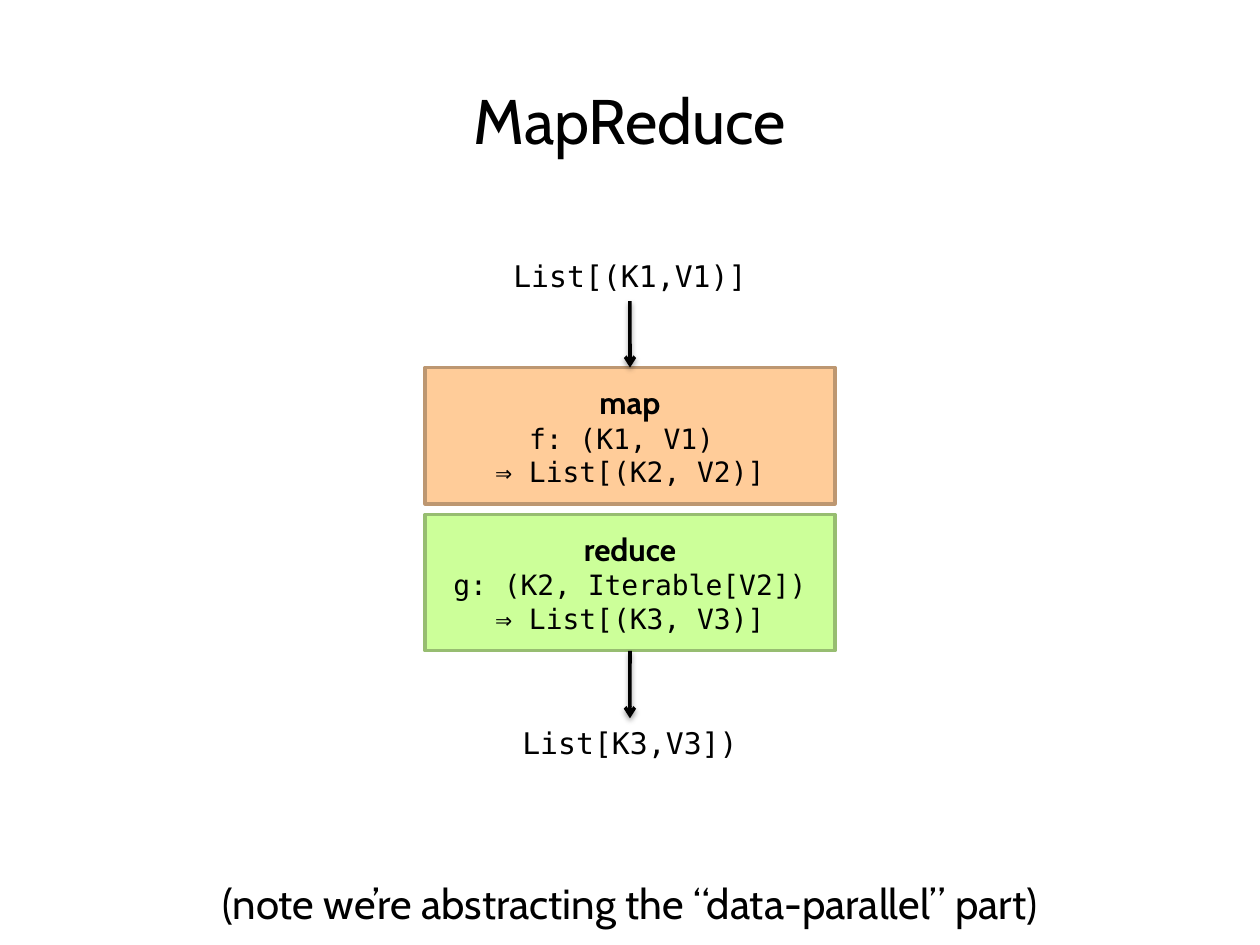
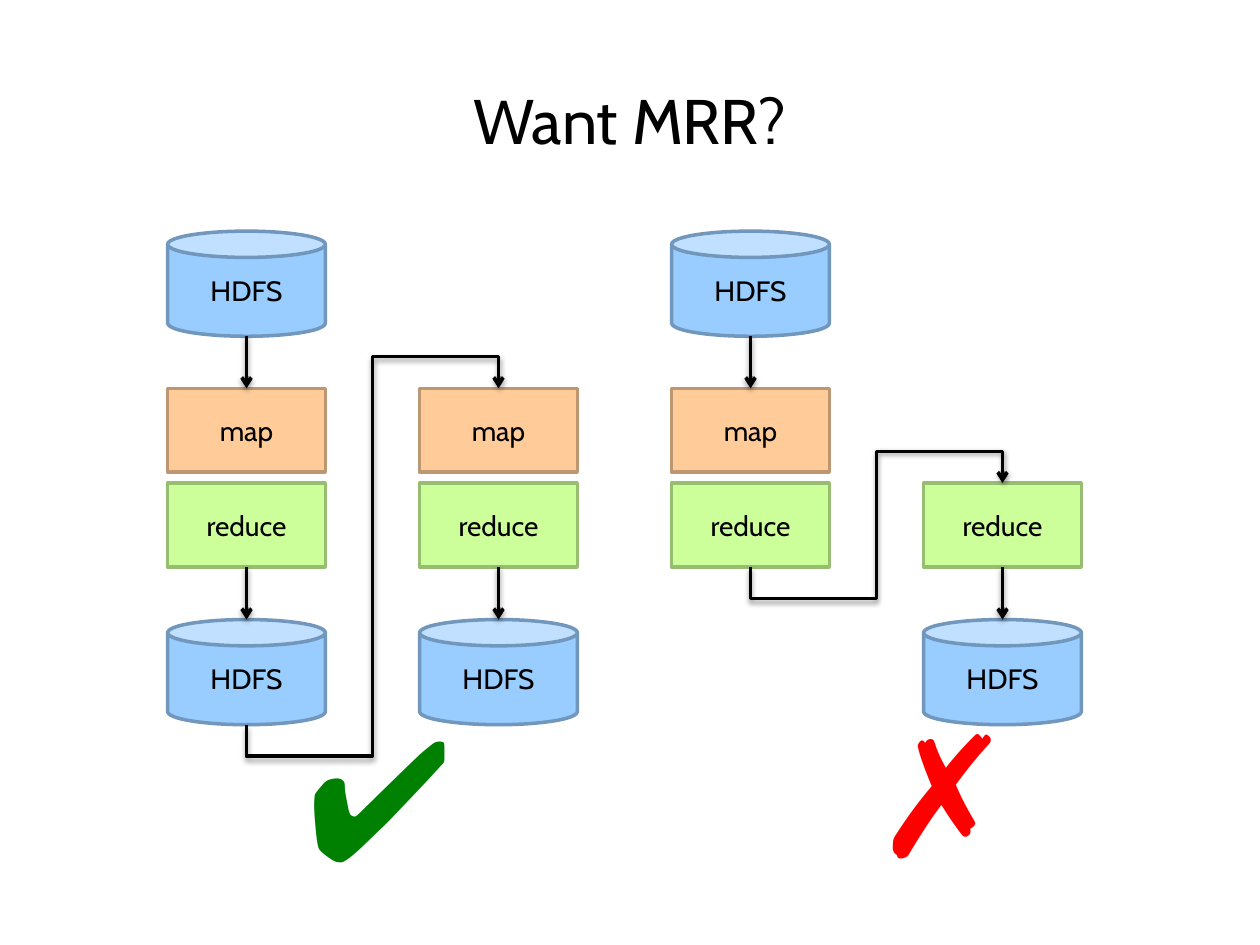
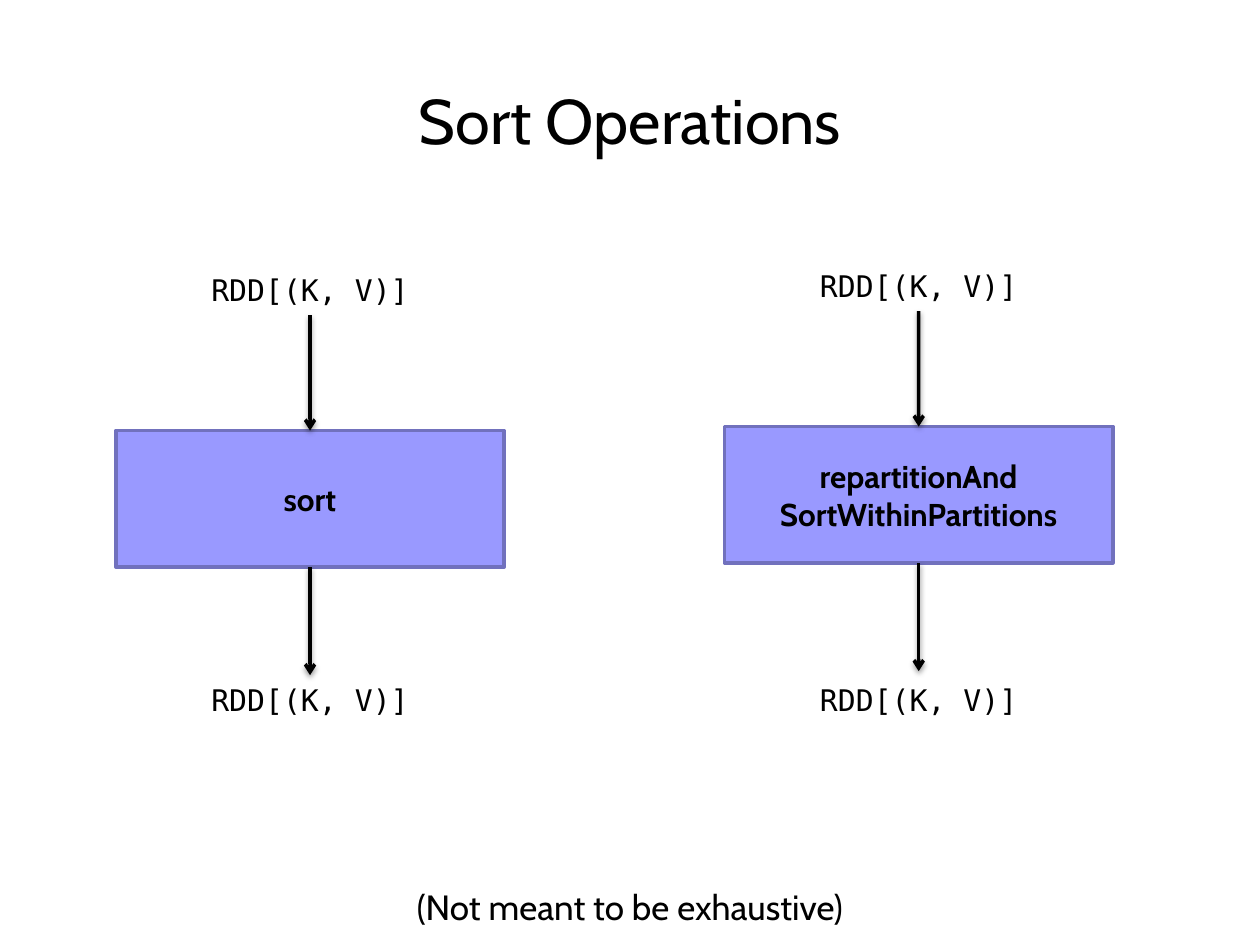
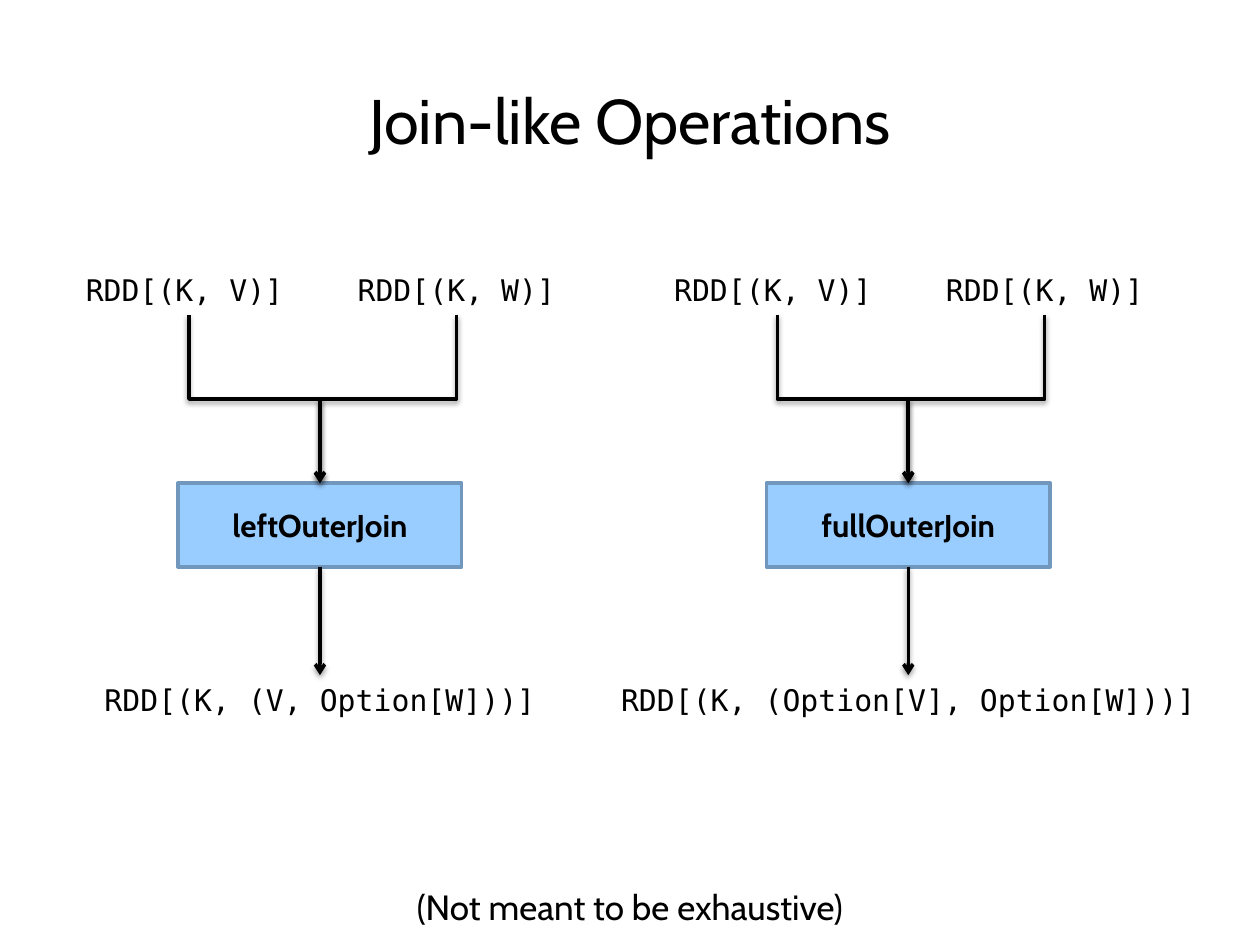
from copy import deepcopy
from dataclasses import dataclass

from lxml.etree import SubElement
from pptx import Presentation
from pptx.dml.color import RGBColor
from pptx.enum.shapes import MSO_CONNECTOR as Connector, MSO_SHAPE as Preset
from pptx.enum.text import MSO_ANCHOR as Anchor, MSO_AUTO_SIZE as AutoSize, PP_ALIGN as Align
from pptx.oxml.ns import qn
from pptx.util import Cm, Pt


@dataclass(frozen=True)
class Theme:
    text_font: str = "Cabin"
    code_font: str = "DejaVu Sans Mono"
    mark_font: str = "Arial"
    ink: str = "000000"
    yes: str = "008000"
    no: str = "FF0000"
    orange: tuple = ("FFCC99", "BD9771")
    green: tuple = ("CCFF99", "97BD71")
    blue: tuple = ("99CCFF", "7197BD")
    violet: tuple = ("9999FF", "7171BD")
    title_size: int = 36
    note_size: int = 24
    small_note_size: int = 20
    operation_size: int = 18
    label_size: int = 17
    step_size: int = 16
    mark_size: int = 96
    line_width: int = 2


THEME = Theme()
SLIDE_WIDTH, SLIDE_HEIGHT = 25.4, 19.05
CENTRE = SLIDE_WIDTH / 2
LABEL_HEIGHT = 0.99
NOTE_BOTTOM = 18.85

MAP_REDUCE = {
    "title": "MapReduce",
    "input": "List[(K1,V1)]",
    "map": ("map", "f: (K1, V1) \v⇒ List[(K2, V2)]"),
    "reduce": ("reduce", "g: (K2, Iterable[V2]) ⇒ List[(K3, V3)]"),
    "output": "List[K3,V3])",
    "note": "(note we’re abstracting the “data-parallel” part)",
}

STEPS = {
    "source": ("HDFS", Preset.CAN, THEME.blue, 4.66, 2.12),
    "map": ("map", Preset.RECTANGLE, THEME.orange, 7.83, 1.69),
    "reduce": ("reduce", Preset.RECTANGLE, THEME.green, 9.74, 1.69),
    "sink": ("HDFS", Preset.CAN, THEME.blue, 12.49, 2.12),
}
PIPELINES = [
    {
        "columns": [("source", "map", "reduce", "sink"), ("map", "reduce", "sink")],
        "bridge": ("sink", "map"),
        "mark": ("✔", THEME.yes, 5.92, 13.84, 3.4),
    },
    {
        "columns": [("source", "map", "reduce"), ("reduce", "sink")],
        "bridge": ("reduce", "reduce"),
        "mark": ("✗", THEME.no, 17.35, 13.77, 2.51),
    },
]
STEP_ARROWS = [("source", "map"), ("reduce", "sink")]
FIRST_COLUMN, COLUMN_STEP, STEP_WIDTH = 4.97, 5.08, 3.18
BRIDGE_LEAD = Cm(0.64)

EXHAUSTIVE_NOTE = "(Not meant to be exhaustive)"
SORTS = [
    {"name": "sort", "centre": 6.25, "rise": 0, "output_width": 10.36},
    {"name": "repartitionAnd\vSortWithinPartitions", "centre": 18.52, "rise": 0.08, "output_width": 12.9},
]
JOINS = [
    {"name": "leftOuterJoin", "centre": 6.45,
     "output": "RDD[(K, (V, Option[W]))]", "output_width": 10.36},
    {"name": "fullOuterJoin", "centre": 18.31,
     "output": "RDD[(K, (Option[V], Option[W]))]", "output_width": 12.9},
]
PAIR = "RDD[(K, V)]"
JOIN_INPUTS = [
    (PAIR, -2.64, 4.66, Align.LEFT),
    ("RDD[(K, W)]", 2.75, 5.72, Align.CENTER),
]
INPUT_TOP, INPUT_WIDTH, OUTPUT_TOP = 5.36, 4.66, 13.61


def style_run(run, font, size, color=THEME.ink, bold=False):
    run.font.name = font
    run.font.size = Pt(size)
    run.font.bold = bold
    run.font.color.rgb = RGBColor.from_string(color)


def write(shape, text, font, size, color=THEME.ink, bold=False, align=Align.CENTER):
    frame = shape.text_frame
    frame.text = text
    paragraph = frame.paragraphs[0]
    paragraph.alignment = align
    for run in paragraph.runs:
        style_run(run, font, size, color, bold)
    match_breaks(paragraph)


def match_breaks(paragraph):
    for line_break in paragraph._p.findall(qn("a:br")):
        line_break.insert(0, deepcopy(line_break.getprevious().find(qn("a:rPr"))))


def add_text(shapes, text, centre, top, width, height, font, size, grow=True,
             wrap=True, **style):
    box = shapes.add_textbox(Cm(centre - width / 2), Cm(top), Cm(width), Cm(height))
    write(box, text, font, size, **style)
    box.text_frame.word_wrap = wrap
    box.text_frame.auto_size = AutoSize.SHAPE_TO_FIT_TEXT if grow else AutoSize.NONE
    return box


def add_label(shapes, text, centre, top, width, align=Align.CENTER):
    return add_text(shapes, text, centre, top, width, LABEL_HEIGHT,
                    THEME.code_font, THEME.label_size, align=align)


def add_note(slide, text, size, height):
    add_text(slide.shapes, text, CENTRE, NOTE_BOTTOM - height, SLIDE_WIDTH, height,
             THEME.text_font, size)


def add_block(shapes, preset, colors, text, centre, top, width, height, size, bold=False):
    block = shapes.add_shape(preset, Cm(centre - width / 2), Cm(top), Cm(width), Cm(height))
    fill, line = colors
    block.shadow.inherit = False
    block.fill.solid()
    block.fill.fore_color.rgb = RGBColor.from_string(fill)
    block.line.color.rgb = RGBColor.from_string(line)
    block.line.width = Pt(THEME.line_width)
    block.text_frame.vertical_anchor = Anchor.MIDDLE
    block.text_frame.word_wrap = True
    write(block, text, THEME.text_font, size, bold=bold)
    return block


def add_operation(shapes, colors, name, centre, top, width, height):
    return add_block(shapes, Preset.RECTANGLE, colors, name, centre, top, width, height,
                     THEME.operation_size, bold=True)


def add_signature(block, signature):
    paragraph = block.text_frame.paragraphs[0]
    name = paragraph.text
    paragraph.text = f"{name}\v{signature}"
    title_run, *code_runs = paragraph.runs
    style_run(title_run, THEME.text_font, THEME.operation_size, bold=True)
    for run in code_runs:
        style_run(run, THEME.code_font, THEME.step_size)
    match_breaks(paragraph)


def style_arrow(connector):
    connector.line.color.rgb = RGBColor.from_string(THEME.ink)
    connector.line.width = Pt(THEME.line_width)
    properties = connector._element.spPr
    SubElement(properties.find(qn("a:ln")), qn("a:tailEnd"), type="arrow")
    effects = SubElement(properties, qn("a:effectLst"))
    shadow = SubElement(effects, qn("a:outerShdw"), blurRad=str(int(Pt(3.1))),
                        dist=str(int(Pt(1.6))), dir="5400000", rotWithShape="0")
    color = SubElement(shadow, qn("a:srgbClr"), val=THEME.ink)
    SubElement(color, qn("a:alpha"), val="38000")


def middle(shape):
    return shape.left + shape.width // 2


def is_rectangle(shape):
    return shape._element.spPr.find(qn("a:prstGeom")).get("prst") == "rect"


def add_arrow(shapes, upper, lower, gap=0):
    connector = shapes.add_connector(Connector.STRAIGHT, middle(upper), upper.top + upper.height,
                                     middle(lower), lower.top - Cm(gap))
    if is_rectangle(upper):
        connector.begin_connect(upper, 2)
    if is_rectangle(lower) and not gap:
        connector.end_connect(lower, 0)
    style_arrow(connector)


def add_elbow(shapes, begin, end):
    start_x, start_y = middle(begin), begin.top + begin.height
    run, drop = middle(end) - start_x, end.top - start_y
    length, breadth = abs(drop), abs(run)
    left = start_x + (run - length) // 2
    top = start_y + (drop - breadth) // 2
    connector = shapes.add_connector(Connector.ELBOW, left, top, left + length, top + breadth)
    properties = connector._element.spPr
    frame, geometry = properties.find(qn("a:xfrm")), properties.find(qn("a:prstGeom"))
    if drop < 0:
        frame.set("rot", "5400000")
        frame.set("flipH", "1")
        frame.set("flipV", "1")
        geometry.set("prst", "bentConnector5")
        lead = round(100000 * BRIDGE_LEAD / length)
        guides = geometry.find(qn("a:avLst"))
        for number, value in enumerate((-lead, 50000, 100000 + lead), 1):
            SubElement(guides, qn("a:gd"), name=f"adj{number}", fmla=f"val {value}")
    elif run > 0:
        frame.set("rot", "16200000")
        frame.set("flipH", "1")
    else:
        frame.set("rot", "5400000")
    style_arrow(connector)


def add_slide(presentation, title):
    slide = presentation.slides.add_slide(presentation.slide_layouts[6])
    add_text(slide.shapes, title, CENTRE, 1.52, SLIDE_WIDTH, 1.9,
             THEME.text_font, THEME.title_size, grow=False)
    return slide


def build_map_reduce(presentation):
    slide = add_slide(presentation, MAP_REDUCE["title"])
    shapes = slide.shapes
    source = add_label(shapes, MAP_REDUCE["input"], CENTRE, 5.08, 8.46)
    blocks = []
    for key, colors, top in (("map", THEME.orange, 7.41), ("reduce", THEME.green, 10.37)):
        name, signature = MAP_REDUCE[key]
        block = add_operation(shapes, colors, name, CENTRE, top, 8.26, 2.75)
        add_signature(block, signature)
        blocks.append(block)
    result = add_label(shapes, MAP_REDUCE["output"], CENTRE, 14.48, 8.46)
    add_arrow(shapes, source, blocks[0])
    add_arrow(shapes, blocks[1], result)
    add_note(slide, MAP_REDUCE["note"], THEME.note_size, 1.28)


def build_pipelines(presentation):
    slide = add_slide(presentation, "Want MRR?")
    column = 0
    for pipeline in PIPELINES:
        shapes = slide.shapes.add_group_shape().shapes
        columns = []
        for keys in pipeline["columns"]:
            centre = FIRST_COLUMN + column * COLUMN_STEP
            blocks = {}
            for key in keys:
                text, preset, colors, top, height = STEPS[key]
                blocks[key] = add_block(shapes, preset, colors, text, centre, top,
                                        STEP_WIDTH, height, THEME.step_size)
            for upper, lower in STEP_ARROWS:
                if upper in blocks and lower in blocks:
                    add_arrow(shapes, blocks[upper], blocks[lower])
            columns.append(blocks)
            column += 1
        begin, end = pipeline["bridge"]
        add_elbow(shapes, columns[0][begin], columns[1][end])
        mark, color, left, top, width = pipeline["mark"]
        add_text(slide.shapes, mark, left + width / 2, top, width, 4.37, THEME.mark_font,
                 THEME.mark_size, wrap=False, color=color, bold=True, align=Align.LEFT)


def build_sorts(presentation):
    slide = add_slide(presentation, "Sort Operations")
    for sort in SORTS:
        shapes = slide.shapes.add_group_shape().shapes
        centre, rise = sort["centre"], sort["rise"]
        source = add_label(shapes, PAIR, centre, INPUT_TOP - rise, INPUT_WIDTH)
        block = add_operation(shapes, THEME.violet, sort["name"], centre, 8.68 - rise, 7.83, 2.75)
        result = add_label(shapes, PAIR, centre, OUTPUT_TOP, sort["output_width"])
        add_arrow(shapes, source, block)
        add_arrow(shapes, block, result, gap=rise)
    add_note(slide, EXHAUSTIVE_NOTE, THEME.small_note_size, 1.12)


def build_joins(presentation):
    slide = add_slide(presentation, "Join-like Operations")
    for join in JOINS:
        shapes = slide.shapes.add_group_shape().shapes
        centre = join["centre"]
        block = add_operation(shapes, THEME.blue, join["name"], centre, 9.74, 5.72, 1.69)
        for text, offset, width, align in JOIN_INPUTS:
            source = add_label(shapes, text, centre + offset, INPUT_TOP, width, align)
            add_elbow(shapes, source, block)
        result = add_label(shapes, join["output"], centre, OUTPUT_TOP, join["output_width"])
        add_arrow(shapes, block, result)
    add_note(slide, EXHAUSTIVE_NOTE, THEME.small_note_size, 1.12)


def main():
    presentation = Presentation()
    presentation.slide_width = Cm(SLIDE_WIDTH)
    presentation.slide_height = Cm(SLIDE_HEIGHT)
    for build in (build_map_reduce, build_pipelines, build_sorts, build_joins):
        build(presentation)
    presentation.save("out.pptx")


if __name__ == "__main__":
    main()
